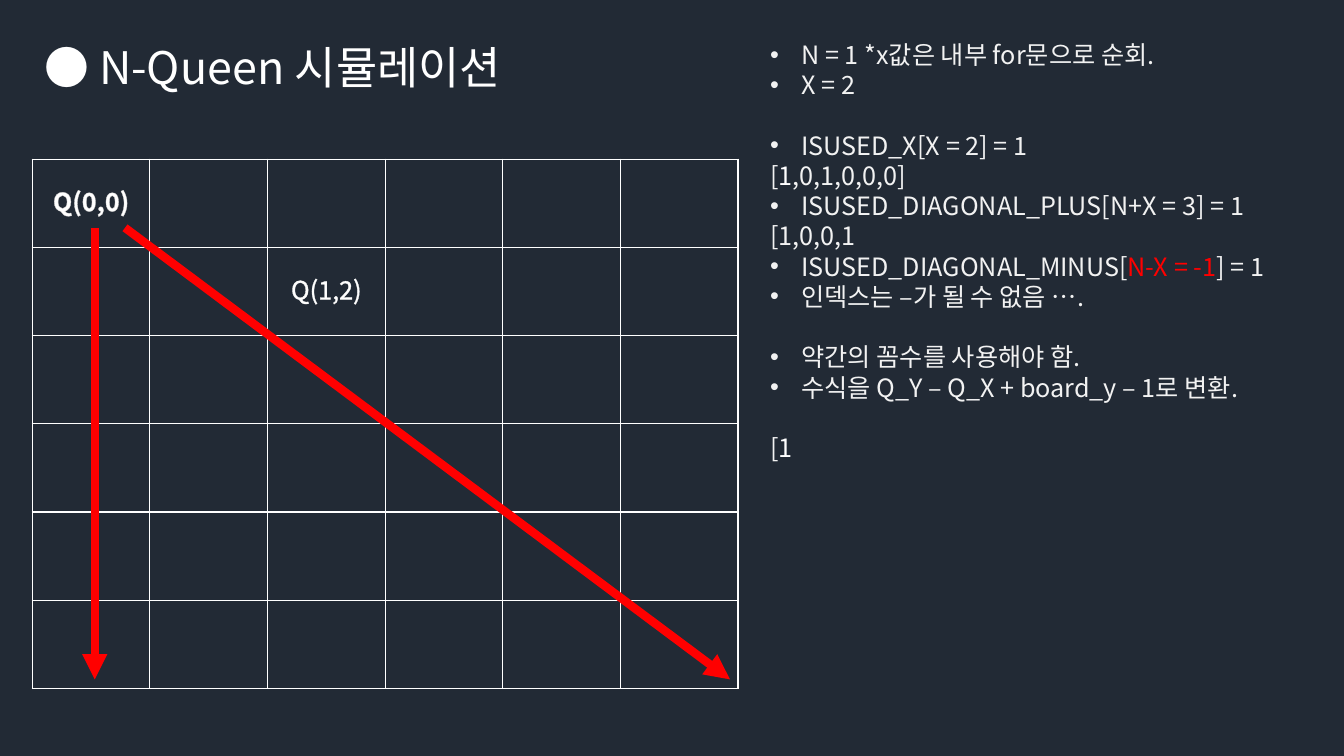
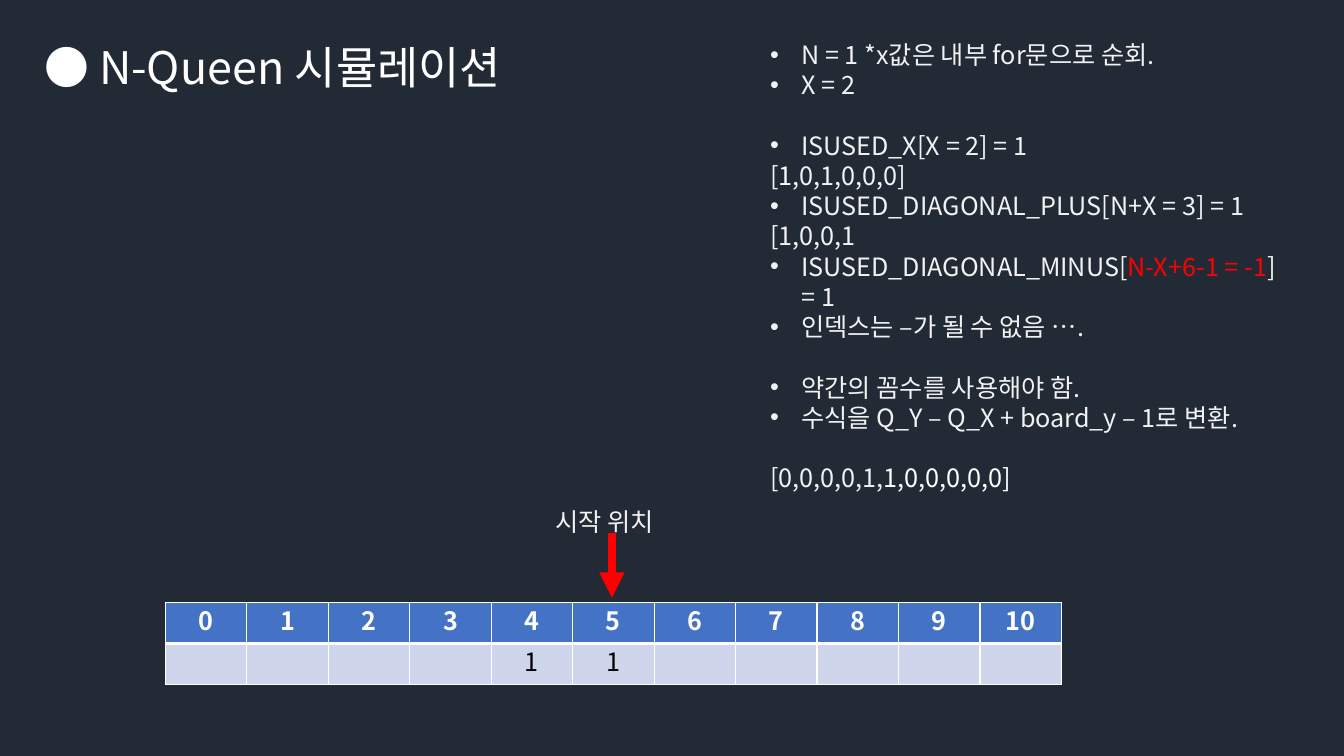
from lxml import etree
from pptx import Presentation
from pptx import util as u
from pptx.dml.color import RGBColor
from pptx.enum import shapes, text
from pptx.oxml.ns import qn

FONT = "Noto Sans CJK KR"
BODY_SIZE, TITLE_SIZE = 18, 32
LINE_RATIO = 1.2
COLORS = {
    "background": "222A35",
    "white": "FFFFFF",
    "body": "F2F2F2",
    "outline": "D0CECE",
    "red": "FF0000",
    "header": "4472C4",
    "cell": "CFD5EA",
    "black": "000000",
}


def rgb(name):
    return RGBColor.from_string(COLORS[name])


def add_line_fill(line, name):
    fill = etree.SubElement(line, qn("a:solidFill"))
    etree.SubElement(fill, qn("a:srgbClr"), val=COLORS[name])


def style_paragraph(paragraph, size, color, bold=False):
    font = paragraph.font
    font.size, font.bold, font.name = u.Pt(size), bold, FONT
    font.color.rgb = rgb(color)
    properties = paragraph._p.get_or_add_pPr().find(qn("a:defRPr"))
    etree.SubElement(properties, qn("a:ea"), typeface=FONT)
    paragraph.line_spacing = u.Pt(size * LINE_RATIO)


def add_bullet(paragraph):
    properties = paragraph._p.get_or_add_pPr()
    properties.set("marL", str(u.Inches(0.31)))
    properties.set("indent", str(-u.Inches(0.31)))
    etree.SubElement(properties, qn("a:buFont"), typeface="Arial")
    etree.SubElement(properties, qn("a:buChar"), char="•")


def add_text_frame(slide, left, top, width, height):
    box = slide.shapes.add_textbox(*map(u.Inches, (left, top, width, height)))
    frame = box.text_frame
    frame.word_wrap = True
    frame.auto_size = text.MSO_AUTO_SIZE.SHAPE_TO_FIT_TEXT
    return frame


def add_label(slide, box, label, size, color):
    paragraph = add_text_frame(slide, *box).paragraphs[0]
    paragraph.text = label
    style_paragraph(paragraph, size, color)


def add_arrow(slide, start, end):
    points = map(u.Inches, (*start, *end))
    arrow = slide.shapes.add_connector(shapes.MSO_CONNECTOR.STRAIGHT, *points)
    arrow.line.color.rgb = rgb("red")
    arrow.line.width = u.Pt(6)
    etree.SubElement(arrow.line._get_or_add_ln(), qn("a:tailEnd"), type="triangle")
    etree.SubElement(arrow._element.spPr, qn("a:effectLst"))


def add_plain_table(slide, rows, columns, left, top, width, height):
    box = map(u.Inches, (left, top, width, height))
    table = slide.shapes.add_table(rows, columns, *box).table
    table.first_row = table.horz_banding = False
    return table


def set_borders(cell, top=1, bottom=1):
    properties = cell._tc.get_or_add_tcPr()
    for side, width in (("L", 1), ("R", 1), ("T", top), ("B", bottom)):
        line = etree.SubElement(properties, qn(f"a:ln{side}"), w=str(u.Pt(width)))
        add_line_fill(line, "white")


def set_cell_text(cell, label, color, bold=False):
    paragraph = cell.text_frame.paragraphs[0]
    paragraph.text = label
    paragraph.alignment = text.PP_ALIGN.CENTER
    style_paragraph(paragraph, BODY_SIZE, color, bold)
    return paragraph


def add_board(slide, left, top, width, height, size=6):
    """Chess board with the queens placed so far."""
    queens = {(0, 0): ("Q(0,0)", True, "outline"), (1, 2): ("Q(1,2)", False, "body")}
    table = add_plain_table(slide, size, size, left, top, width, height)
    for row in range(size):
        for column in range(size):
            cell = table.cell(row, column)
            set_borders(cell)
            cell.fill.background()
            if (row, column) in queens:
                label, bold, outline = queens[row, column]
                cell.vertical_anchor = text.MSO_ANCHOR.MIDDLE
                run = set_cell_text(cell, label, "white", bold).runs[0]
                run.font.color.rgb = rgb("white")
                line = etree.Element(qn("a:ln"), w=str(u.Pt(0.75)))
                add_line_fill(line, outline)
                run._r.get_or_add_rPr().insert(0, line)

    # Attacked column and diagonal
    start, end = top + 0.68, top + height - 0.09
    add_arrow(slide, (left + 0.62, start), (left + 0.62, end))
    add_arrow(slide, (left + 0.92, start), (left + width - 0.08, end))


def add_index_table(slide, left, top, width, height, count=11):
    """Index row above the value row, with the start position marked."""
    table = add_plain_table(slide, 2, count, left, top, width, height)
    values = {4: "1", 5: "1"}
    for index in range(count):
        header, value = table.cell(0, index), table.cell(1, index)
        set_borders(header, bottom=3)
        set_borders(value, top=3)
        for cell, color in ((header, "header"), (value, "cell")):
            cell.fill.solid()
            cell.fill.fore_color.rgb = rgb(color)
        set_cell_text(header, str(index), "white", bold=True)
        set_cell_text(value, values.get(index, ""), "black")

    # Start marker
    arrow_x = left + 4.43
    add_arrow(slide, (arrow_x, top - 0.69), (arrow_x, top - 0.05))
    add_label(slide, (left + 3.77, top - 1.01, 1.67, 0.4), "시작 위치", BODY_SIZE, "body")


def add_notes_panel(slide, left, top, width, height, minus_index, last_line):
    """Each line: bulleted, gap before, then runs of (text, colour)."""
    lines = [
        (True, False, [("N = 1 *x값은 내부 for문으로 순회.", "body")]),
        (True, False, [("X = 2", "body")]),
        (True, True, [("ISUSED_X[X = 2] = 1", "body")]),
        (False, False, [("[", "body"), ("1", "white"), (",0,1,0,0,0]", "body")]),
        (True, False, [("ISUSED_DIAGONAL_PLUS[N+X = 3] = 1", "body")]),
        (False, False, [("[1,0,0,1", "body")]),
        (True, False, [("ISUSED_DIAGONAL_MINUS[", "body"), (minus_index, "red"),
                       ("] = 1", "body")]),
        (True, False, [("인덱스는 –가 될 수 없음 ….", "body")]),
        (True, True, [("약간의 꼼수를 사용해야 함.", "body")]),
        (True, False, [("수식을 Q_Y – Q_X + board_y – 1로 변환.", "body")]),
        (False, True, last_line),
    ]
    frame = add_text_frame(slide, left, top, width, height)
    for number, (bulleted, gap, runs) in enumerate(lines):
        paragraph = frame.add_paragraph() if number else frame.paragraphs[0]
        if bulleted:
            add_bullet(paragraph)
        style_paragraph(paragraph, BODY_SIZE, "body")
        if gap:
            paragraph.space_before = u.Pt(BODY_SIZE * LINE_RATIO)
        for content, color in runs:
            run = paragraph.add_run()
            run.text = content
            if color != "body":
                run.font.color.rgb = rgb(color)


def add_base_slide(presentation):
    """Dark slide with the shared title."""
    slide = presentation.slides.add_slide(presentation.slide_layouts[6])
    slide.background.fill.solid()
    slide.background.fill.fore_color.rgb = rgb("background")
    add_label(slide, (0.34, 0.34, 6.66, 0.64), "● N-Queen 시뮬레이션", TITLE_SIZE, "white")
    return slide


def main():
    presentation = Presentation()
    presentation.slide_width = u.Inches(13.33)
    presentation.slide_height = u.Inches(7.5)

    # Board simulation
    slide = add_base_slide(presentation)
    add_board(slide, 0.32, 1.58, 7, 5.25)
    add_notes_panel(slide, 7.54, 0.34, 5.32, 4.64, "N-X = -1",
                    [("[", "body"), ("1", "white")])

    # Shifted diagonal index
    slide = add_base_slide(presentation)
    add_notes_panel(slide, 7.54, 0.34, 5.32, 4.95, "N-X+6-1 = -1",
                    [("[0,0,0,0,1,", "body"), ("1,0,0,0,0,0]", "white")])
    add_index_table(slide, 1.64, 5.98, 8.89, 0.81)

    presentation.save("out.pptx")


if __name__ == "__main__":
    main()
